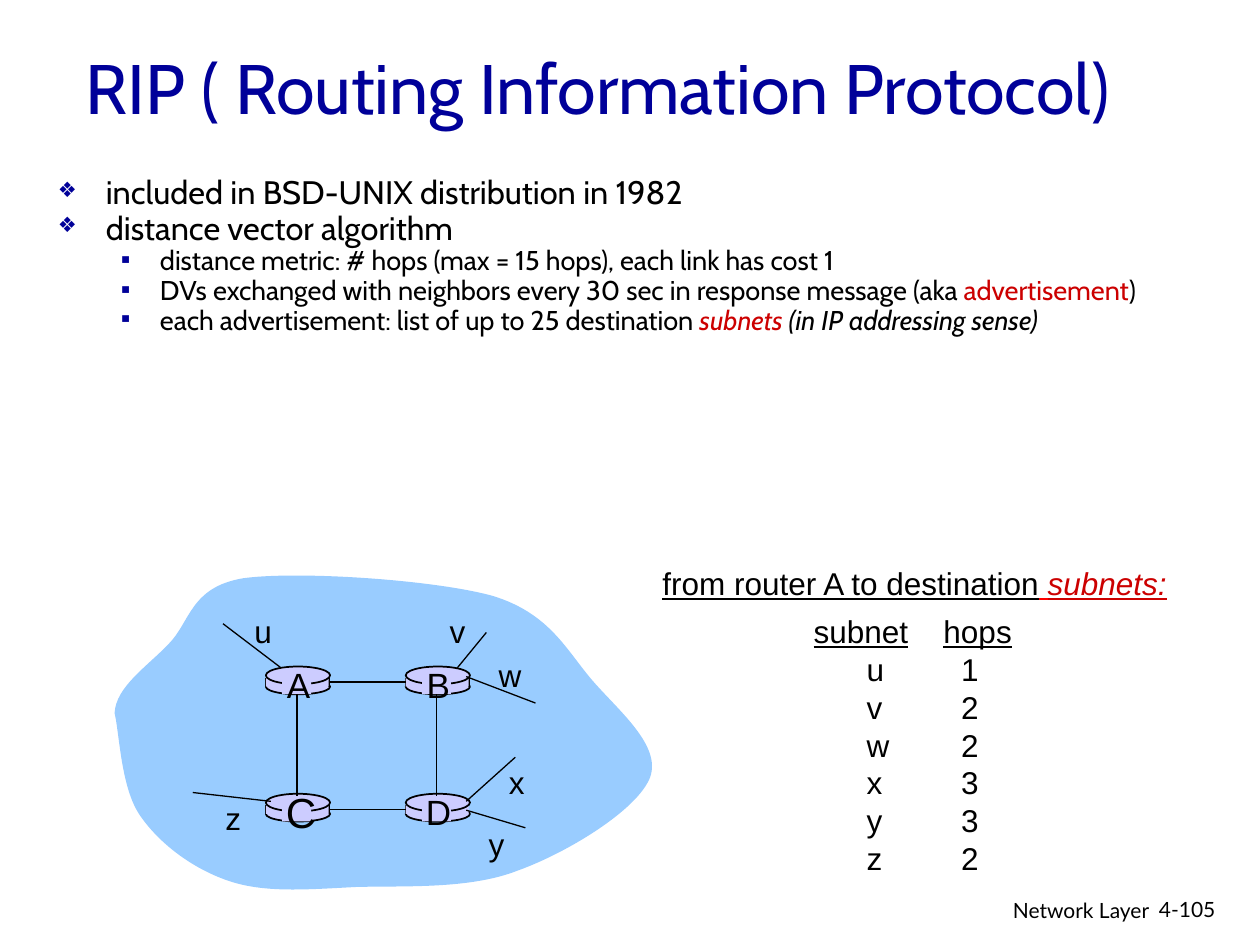
from dataclasses import dataclass

from lxml import etree
from pptx import Presentation
from pptx import util as u
from pptx.dml import color
from pptx.enum import shapes, text
from pptx.oxml import ns


@dataclass(frozen=True)
class Theme:
    navy: str = "000099"
    red: str = "CC0000"
    bright_red: str = "FF0000"
    ink: str = "000000"
    cloud: str = "99CCFF"
    router: str = "CCCCFF"
    heading: str = "Cabin"
    label: str = "Arial"
    footer: str = "Lato"
    title_size: float = 40
    list_sizes: tuple = (18.6, 15.5)
    router_size: float = 20
    large_router_size: float = 24
    label_size: float = 18
    footer_size: float = 12


BULLETS = (
    {"char": "❖", "scale": 65, "left": 0.38, "hang": 0.38, "before": 6},
    {"char": "▪", "scale": 100, "left": 0.81, "hang": 0.31, "before": 5},
)
SIDES = {"top": 0, "left": 1, "bottom": 2, "right": 3}


def add_element(parent, tag, **attributes):
    return etree.SubElement(parent, ns.qn(tag), attributes)


def add_bullet(paragraph, bullet, tint):
    properties = paragraph._p.get_or_add_pPr()
    properties.set("marL", str(u.Inches(bullet["left"])))
    properties.set("indent", str(-u.Inches(bullet["hang"])))
    add_element(add_element(properties, "a:buClr"), "a:srgbClr", val=tint)
    add_element(properties, "a:buSzPct", val=str(bullet["scale"] * 1000))
    add_element(properties, "a:buChar", char=bullet["char"])


def add_tabs(paragraph, stops):
    tab_list = add_element(paragraph._p.get_or_add_pPr(), "a:tabLst")
    for stop in stops:
        add_element(tab_list, "a:tab", pos=str(u.Inches(stop)), algn="l")


def bend_segments(shape):
    """Turn each three straight segments of a freeform into one cubic curve."""
    segments = list(shape._element.iter(ns.qn("a:lnTo")))
    for curve, second, end in zip(*[iter(segments)] * 3):
        curve.tag = ns.qn("a:cubicBezTo")
        for segment in (second, end):
            curve.append(segment[0])
            segment.getparent().remove(segment)


class SlideBuilder:
    """Holds the theme and the slide being drawn; lengths are in inches."""

    def __init__(self, slide, theme):
        self.slide, self.theme = slide, theme

    def spans(self, paragraph, parts, **base):
        """Add runs; each part is a string or a (string, format) pair."""
        for part in parts:
            words, extra = (part, {}) if isinstance(part, str) else part
            style = {"color": self.theme.ink, **base, **extra}
            span = paragraph.add_run()
            span.text = words
            span.font.color.rgb = color.RGBColor.from_string(style.pop("color"))
            for name, value in style.items():
                setattr(span.font, name, value)

    def place(self, shape, at):
        for name, value in zip(("left", "top", "width", "height"), at):
            setattr(shape, name, u.Inches(value))

    def title(self, at, words):
        box = self.slide.shapes.title
        self.place(box, at)
        frame = box.text_frame
        frame.auto_size = text.MSO_AUTO_SIZE.NONE
        frame.vertical_anchor = text.MSO_ANCHOR.MIDDLE
        frame.paragraphs[0].alignment = text.PP_ALIGN.LEFT
        self.spans(frame.paragraphs[0], [words], name=self.theme.heading,
                   size=u.Pt(self.theme.title_size), color=self.theme.navy)

    def bullets(self, at, items):
        box = self.slide.placeholders[1]
        self.place(box, at)
        frame = box.text_frame
        frame.auto_size = text.MSO_AUTO_SIZE.NONE
        for index, (level, parts) in enumerate(items):
            para = frame.add_paragraph() if index else frame.paragraphs[0]
            add_bullet(para, BULLETS[level], self.theme.navy)
            before = BULLETS[level]["before"] if index else 0
            for name, value in {"level": level, "line_spacing": 0.65,
                                "space_before": u.Pt(before)}.items():
                setattr(para, name, value)
            self.spans(para, parts, name=self.theme.heading,
                       size=u.Pt(self.theme.list_sizes[level]))

    def textbox(self, at, lines, align="LEFT", anchor="TOP", wrap=False, tabs=(), **style):
        """Each line is a list of parts; tabs holds the stops of each line."""
        frame = self.slide.shapes.add_textbox(*map(u.Inches, at)).text_frame
        frame.word_wrap = wrap
        frame.vertical_anchor = text.MSO_ANCHOR[anchor]
        for index, parts in enumerate(lines):
            para = frame.add_paragraph() if index else frame.paragraphs[0]
            para.alignment = text.PP_ALIGN[align]
            if tabs:
                add_tabs(para, tabs[index])
            self.spans(para, parts, **{"name": self.theme.label,
                                       "size": u.Pt(self.theme.label_size), **style})

    def paint(self, shape, fill, outlined=False):
        shape.shadow.inherit = False
        shape.fill.solid()
        shape.fill.fore_color.rgb = color.RGBColor.from_string(fill)
        if outlined:
            shape.line.color.rgb = color.RGBColor.from_string(self.theme.ink)
            shape.line.width = u.Pt(1)
        else:
            shape.line.fill.background()
        return shape

    def shape(self, kind, at, outlined=False):
        shape = self.slide.shapes.add_shape(shapes.MSO_SHAPE[kind], *map(u.Inches, at))
        return self.paint(shape, self.theme.router, outlined)

    def curved_outline(self, start, curves, fill):
        """Draw a closed outline; each curve is two control points and an end."""
        builder = self.slide.shapes.build_freeform(*map(u.Inches, start))
        builder.add_line_segments([tuple(map(u.Inches, point))
                                   for curve in curves for point in curve], close=True)
        shape = self.paint(builder.convert_to_shape(), fill)
        bend_segments(shape)

    def line(self, start=(0, 0), end=(0, 0), width=0.75):
        line = self.slide.shapes.add_connector(
            shapes.MSO_CONNECTOR.STRAIGHT, *map(u.Inches, (*start, *end)))
        line.line.color.rgb = color.RGBColor.from_string(self.theme.ink)
        line.line.width = u.Pt(width)
        add_element(line._element.spPr, "a:effectLst")
        return line

    def link(self, start, start_side, end, end_side):
        line = self.line(width=1)
        line.begin_connect(start, SIDES[start_side])
        line.end_connect(end, SIDES[end_side])

    def router(self, name, center, band, size, edges):
        """Draw a router whose band starts at the given height; return band and plate."""
        left = center - 0.25
        self.shape("OVAL", (left, band + 0.01, 0.51, 0.12), outlined=True)
        for offset in edges:
            self.line((center + offset, band), (center + offset, band + 0.07), 1)
        body = self.shape("RECTANGLE", (left, band, 0.5, 0.07))
        self.shape("OVAL", (left, band - 0.09, 0.51, 0.14), outlined=True)
        plate = self.shape("RECTANGLE", (center - 0.12, band - 0.07, 0.23, 0.2))
        self.textbox((center - 0.19, band - 0.17, 0.4, 0.44), [[name]],
                     align="CENTER", anchor="MIDDLE", size=u.Pt(size))
        return body, plate


def main():
    theme = Theme()
    deck = Presentation()
    deck.slide_width, deck.slide_height = u.Inches(10), u.Inches(7.5)
    page = SlideBuilder(deck.slides.add_slide(deck.slide_layouts[1]), theme)
    red, underlined = {"color": theme.red}, {"underline": True}

    page.title((0.58, 0.17, 8.94, 1.03), "RIP ( Routing Information Protocol)")
    page.bullets((0.36, 1.41, 9.15, 1.85), [
        (0, ["included in BSD-UNIX distribution in 1982"]),
        (0, ["distance vector algorithm"]),
        (1, ["distance metric: # hops (max = 15 hops), each link has cost 1"]),
        (1, ["DVs exchanged with neighbors every 30 sec in response message (aka ",
             ("advertisement", red), ")"]),
        (1, ["each advertisement: list of up to 25 destination ",
             ("subnets ", {**red, "italic": True}),
             ("(in IP addressing sense)", {"italic": True})]),
    ])

    page.curved_outline((0.91, 5.66), [
        ((0.92, 5.45), (1.17, 5.29), (1.34, 5.11)),
        ((1.51, 4.94), (1.51, 4.66), (1.93, 4.59)),
        ((2.36, 4.53), (3.44, 4.6), (3.91, 4.73)),
        ((4.37, 4.87), (4.5, 5.17), (4.71, 5.41)),
        ((4.92, 5.65), (5.25, 5.92), (5.16, 6.17)),
        ((5.06, 6.43), (4.5, 6.77), (4.11, 6.91)),
        ((3.73, 7.06), (3.21, 7.03), (2.83, 7.04)),
        ((2.44, 7.06), (2.1, 7.09), (1.81, 6.99)),
        ((1.52, 6.89), (1.26, 6.69), (1.11, 6.47)),
        ((0.96, 6.25), (0.95, 5.83), (0.91, 5.66)),
    ], theme.cloud)

    columns, rows = (2.36, 3.47), (5.38, 6.39)
    bodies, plates = {}, {}
    for index, name in enumerate("ABCD"):
        size = theme.large_router_size if name == "C" else theme.router_size
        edges = (-0.25,) if name == "D" else (-0.25, 0.25)
        bodies[name], plates[name] = page.router(
            name, columns[index % 2], rows[index // 2], size, edges)
    for left, right in ("AB", "CD"):
        page.link(bodies[left], "right", bodies[right], "left")
    for upper, lower in ("AC", "BD"):
        page.link(plates[upper], "bottom", plates[lower], "top")

    subnets = [  # name, label corner, stub start, stub end, hops from A
        ("u", (1.92, 4.81), (2.23, 5.3), (1.77, 4.95), 1),
        ("v", (3.47, 4.81), (3.63, 5.3), (3.86, 5.02), 2),
        ("w", (3.86, 5.16), (3.7, 5.37), (4.25, 5.58), 2),
        ("x", (3.94, 6.01), (3.7, 6.36), (4.09, 6.01), 3),
        ("y", (3.78, 6.5), (3.7, 6.43), (4.17, 6.57), 3),
        ("z", (1.69, 6.29), (2.15, 6.36), (1.53, 6.29), 2),
    ]
    for name, corner, start, end, _ in subnets:
        page.line(start, end)
        page.textbox((*corner, 0.34, 0.4), [[name]])

    page.textbox((6.36, 4.81, 1.77, 2.5),
                 [[("subnet", underlined), "\t", ("hops", underlined)]]
                 + [[f"\t{name}\t{hops}"] for name, *_, hops in subnets],
                 wrap=True, tabs=[(1.03,)] + [(0.42, 1.17)] * len(subnets))
    page.textbox((5.16, 4.43, 4.23, 0.4), [[
        "from router A to destination", (" ", {"color": theme.bright_red}),
        ("subnets:", {**red, "italic": True})]], **underlined)

    footer = {"name": theme.footer, "size": u.Pt(theme.footer_size), "wrap": True}
    page.textbox((6.05, 7.07, 3.17, 0.31), [["Network Layer"]], align="RIGHT", **footer)
    page.textbox((9.1, 7.07, 0.74, 0.3), [["4-105"]], **footer)
    deck.save("out.pptx")


if __name__ == "__main__":
    main()
